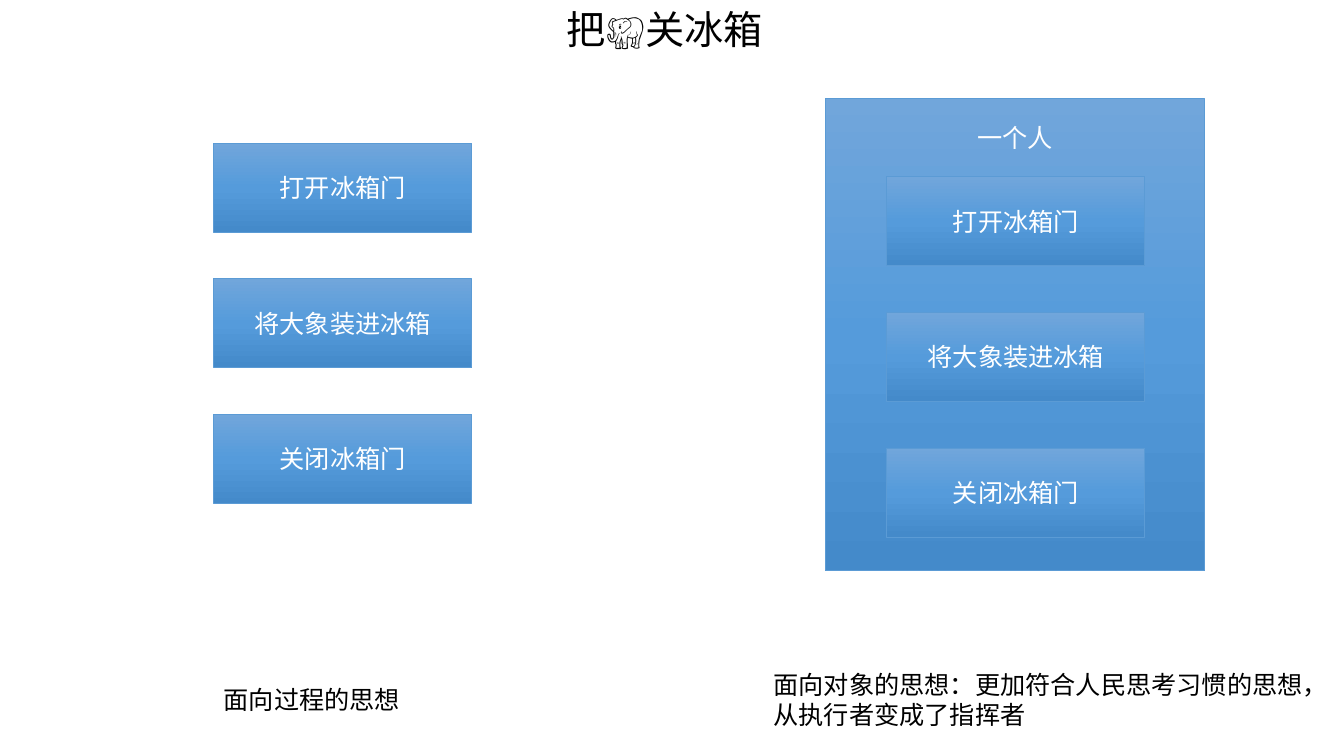
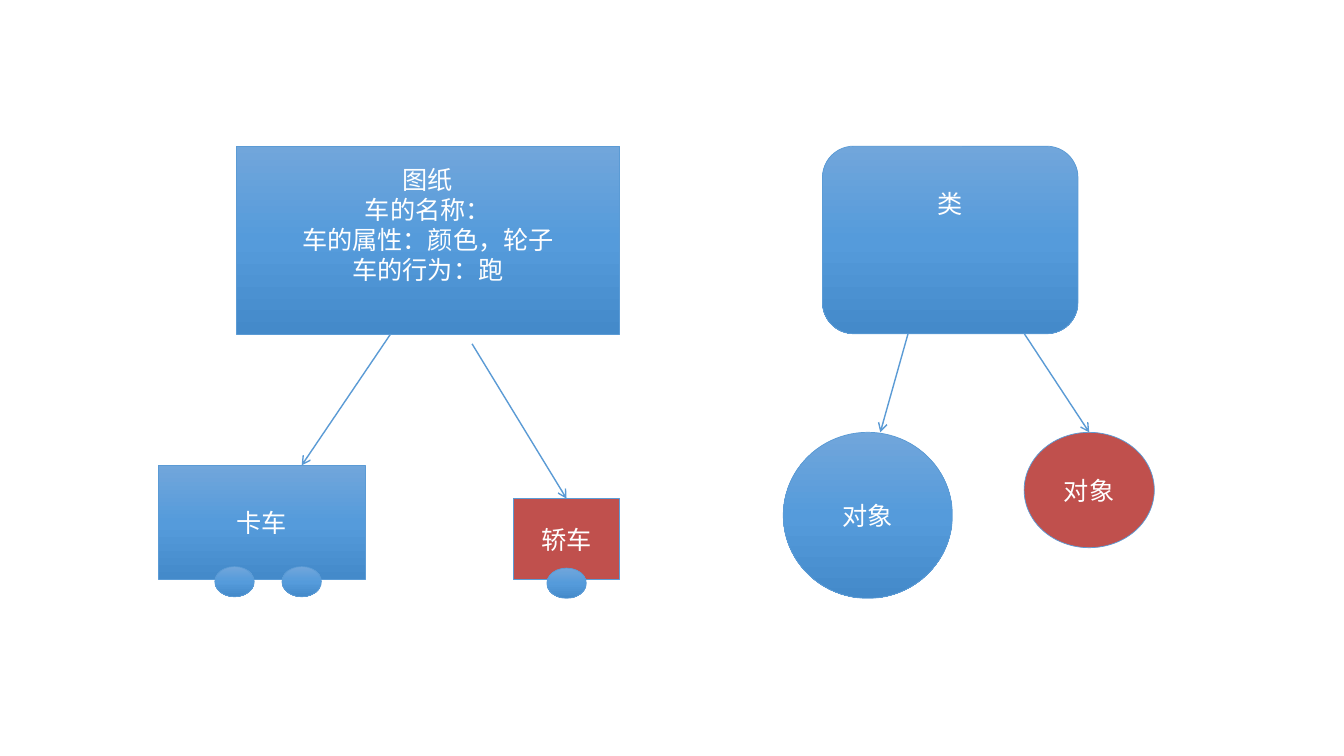
from copy import deepcopy
from dataclasses import dataclass

from lxml import etree
from pptx import Presentation
from pptx.dml.color import RGBColor
from pptx.enum.shapes import MSO_CONNECTOR, MSO_SHAPE
from pptx.enum.text import MSO_ANCHOR, MSO_AUTO_SIZE, PP_ALIGN
from pptx.oxml.ns import qn
from pptx.util import Pt

RECT, ROUND, OVAL = MSO_SHAPE.RECTANGLE, MSO_SHAPE.ROUNDED_RECTANGLE, MSO_SHAPE.OVAL
STRAIGHT = MSO_CONNECTOR.STRAIGHT
LEFT, CENTER = PP_ALIGN.LEFT, PP_ALIGN.CENTER
TOP, MIDDLE = MSO_ANCHOR.TOP, MSO_ANCHOR.MIDDLE
NO_FIT = MSO_AUTO_SIZE.NONE
TITLE_ONLY, BLANK = 5, 6


@dataclass(frozen=True)
class Theme:
    """Colours, font and sizes shared by the slides."""
    font: str = "Calibri"
    title_size: float = 28
    body_size: float = 18
    dark: str = "000000"
    light: str = "FFFFFF"
    line: str = "5B9BD5"
    red: str = "C0504D"
    gradient: tuple = ((0, "71A6DB"), (0.5, "559BDB"), (1, "448ACA"))
    border: float = 0.5
    arrow: float = 1


THEME = Theme()

# Boxes are (left, top, width, height) in points.
TITLE = ("把🐘关冰箱", (396.7, 0, 156.2, 41))
STEPS = ["打开冰箱门", "将大象装进冰箱", "关闭冰箱门"]
STEP_SIZE = (184.3, 63.6)
STEP_PITCH = 96.9
STEP_COLUMNS = [(152.7, 102.1), (633.5, 126.2)]
PERSON = ("一个人", (589.5, 70.4, 271, 337.3))
CAPTIONS = [
    (["面向过程的思想"], (152.7, 485.3, 141.8, 28.8)),
    (["面向对象的思想：更加符合人民思考习惯的思想，", "从执行者变成了指挥者"],
     (545.4, 474.5, 414.7, 51.1)),
]

BLUEPRINT = ["图纸", "车的名称：", "车的属性：颜色，轮子", "车的行为：跑"]
# name: (preset, lines, box, top inset or None for middle, solid fill or None)
NODES = {
    "blueprint": (RECT, BLUEPRINT, (168.8, 104.4, 273.8, 134.2), 12.7, None),
    "truck": (RECT, ["卡车"], (113, 332.4, 148, 81.5), None, None),
    "car": (RECT, ["轿车"], (366.8, 356.2, 75.8, 57.7), None, THEME.red),
    "class": (ROUND, ["类"], (587.5, 104.4, 182.5, 134), 23.5, None),
    "blue object": (OVAL, ["对象"], (559.5, 308.8, 120.8, 118.6), None, None),
    "red object": (OVAL, ["对象"], (731.5, 308.8, 93, 82.4), None, THEME.red),
}
WHEEL_SIZE = (28.2, 21.6)
WHEELS = [(153.4, 404.7), (201.4, 404.7), (390.6, 405.8)]
# (start, end, node whose top centre takes the arrow)
ARROWS = [
    ((279, 238.6), (215.5, 332.4), None),
    ((337.2, 245.6), (404.7, 356.2), "car"),
    ((648.6, 238.4), (628.8, 308.8), None),
    ((731.7, 238.4), (778, 308.8), "red object"),
]


def rgb(value):
    """Turn a hex string into a colour."""
    return RGBColor.from_string(value)


def put_text(tf, lines, size=THEME.body_size, color=THEME.dark, align=LEFT,
             anchor=TOP, wrap=False, inset=None):
    """Fill a text frame with one paragraph per line."""
    tf.word_wrap = wrap
    tf.auto_size = NO_FIT
    tf.vertical_anchor = anchor
    if inset is not None:
        tf.margin_top = Pt(inset)
    for i, line in enumerate(lines):
        p = tf.add_paragraph() if i else tf.paragraphs[0]
        p.alignment = align
        r = p.add_run()
        r.text = line
        r.font.name = THEME.font
        r.font.size = Pt(size)
        r.font.color.rgb = rgb(color)


def fill_gradient(sp):
    """Give a shape the shared top-to-bottom gradient."""
    sp.fill.gradient()
    sp.fill.gradient_angle = 270
    stops = sp.element.spPr.find(".//" + qn("a:gsLst"))
    while len(stops) < len(THEME.gradient):
        stops.append(deepcopy(stops[0]))
    for stop, (position, color) in zip(sp.fill.gradient_stops, THEME.gradient):
        stop.position = position
        stop.color.rgb = rgb(color)


def add_node(slide, preset, box, lines=(), inset=None, solid=None):
    """Add an outlined shape, with its text in the middle or below an inset."""
    sp = slide.shapes.add_shape(preset, *map(Pt, box))
    sp.shadow.inherit = False
    if solid:
        sp.fill.solid()
        sp.fill.fore_color.rgb = rgb(solid)
    else:
        fill_gradient(sp)
    sp.line.color.rgb = rgb(THEME.line)
    sp.line.width = Pt(THEME.border)
    put_text(sp.text_frame, lines, color=THEME.light, align=CENTER, wrap=True,
             anchor=MIDDLE if inset is None else TOP, inset=inset)
    return sp


def add_arrow(slide, start, end, target=None):
    """Add an arrow, attached to the top of the target if there is one."""
    line = slide.shapes.add_connector(STRAIGHT, *map(Pt, start + end))
    if target is not None:
        line.end_connect(target, 0)
    line.line.color.rgb = rgb(THEME.line)
    line.line.width = Pt(THEME.arrow)
    etree.SubElement(line.line._get_or_add_ln(), qn("a:tailEnd"), type="arrow")
    etree.SubElement(line.element.spPr, qn("a:effectLst"))


def build_fridge(prs):
    """Compare the procedural and the object-oriented way."""
    slide = prs.slides.add_slide(prs.slide_layouts[TITLE_ONLY])
    text, box = TITLE
    title = slide.shapes.title
    title.left, title.top, title.width, title.height = map(Pt, box)
    put_text(title.text_frame, [text], size=THEME.title_size, align=CENTER)
    text, box = PERSON
    add_node(slide, RECT, box, [text], inset=17)
    for left, top in STEP_COLUMNS:
        for i, step in enumerate(STEPS):
            add_node(slide, RECT, (left, top + i * STEP_PITCH) + STEP_SIZE, [step])
    for lines, box in CAPTIONS:
        tb = slide.shapes.add_textbox(*map(Pt, box))
        put_text(tb.text_frame, lines)


def build_classes(prs):
    """Show a blueprint with its cars beside a class with its objects."""
    slide = prs.slides.add_slide(prs.slide_layouts[BLANK])
    nodes = {}
    for name, (preset, lines, box, inset, solid) in NODES.items():
        nodes[name] = add_node(slide, preset, box, lines, inset, solid)
    for corner in WHEELS:
        add_node(slide, OVAL, corner + WHEEL_SIZE)
    for start, end, name in ARROWS:
        add_arrow(slide, start, end, nodes.get(name))


def main():
    """Build and save the presentation."""
    prs = Presentation()
    prs.slide_width, prs.slide_height = Pt(960), Pt(540)
    build_fridge(prs)
    build_classes(prs)
    prs.save("out.pptx")


main()
